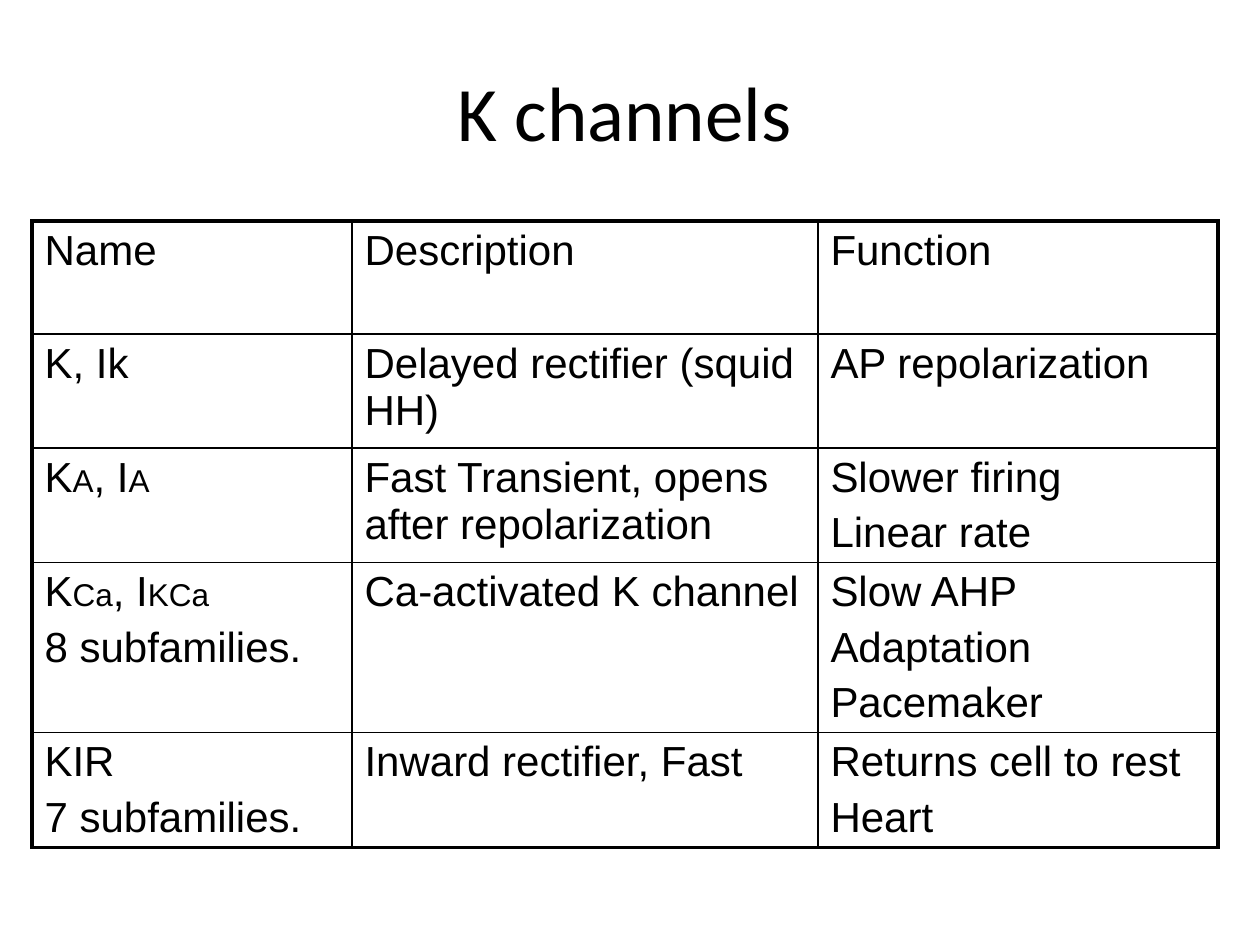
from lxml.etree import SubElement
from pptx import Presentation
from pptx.dml.color import RGBColor
from pptx.enum.text import MSO_ANCHOR, PP_ALIGN
from pptx.oxml.ns import qn
from pptx.util import Pt

# Content: a cell is a list of paragraphs, a paragraph a list of (text, size name)
TITLE = "K channels"
ROWS = [
    ["Name", "Description", "Function"],
    ["K, Ik", "Delayed rectifier (squid HH)", "AP repolarization"],
    [[[("K", "body"), ("A", "small"), (", I", "body"), ("A", "small")]],
     "Fast Transient, opens after repolarization",
     ["Slower firing", "Linear rate"]],
    [[[("K", "body"), ("Ca", "small"), (", I", "body"), ("KCa", "small")],
      "8 subfamilies."],
     "Ca-activated K channel",
     ["Slow AHP", "Adaptation", "Pacemaker"]],
    [["KIR", "7 subfamilies."],
     "Inward rectifier, Fast",
     ["Returns cell to rest", "Heart"]],
]

# Layout in px, 126 to the inch
PX = 914400 // 126
SLIDE_SIZE = (1260, 945)
TITLE_BOX = {"left": 144, "top": 32, "width": 961, "height": 158}
TABLE_LEFT, TABLE_TOP = 32, 221
COLUMN_WIDTHS = [320, 466, 400]
ROW_HEIGHTS = [113, 114, 114, 170, 114]

THEME = {
    "ink": "000000",
    "title_font": "Calibri", "body_font": "Arial",
    "title": 44, "body": 24, "small": 18,
    "paragraph_gap": 4.8, "outer_line": 2.25, "inner_line": 1,
}


def format_font(font, name, size):
    values = {"name": THEME[name], "size": Pt(THEME[size]), "bold": False}
    for key, value in values.items():
        setattr(font, key, value)
    font.color.rgb = RGBColor.from_string(THEME["ink"])


def write_cell(cell, content):
    paragraphs = [content] if isinstance(content, str) else content
    for index, runs in enumerate(paragraphs):
        frame = cell.text_frame
        paragraph = frame.add_paragraph() if index else frame.paragraphs[0]
        if index:
            paragraph.space_before = Pt(THEME["paragraph_gap"])
        for text, size in [(runs, "body")] if isinstance(runs, str) else runs:
            run = paragraph.add_run()
            run.text = text
            format_font(run.font, "body_font", size)


def draw_borders(cell, outer_sides):
    properties = cell._tc.get_or_add_tcPr()
    for position, (side, is_outer) in enumerate(outer_sides.items()):
        weight = THEME["outer_line" if is_outer else "inner_line"]
        line = properties.makeelement(qn(f"a:{side}"), {"w": str(Pt(weight))})
        properties.insert(position, line)
        fill = SubElement(line, qn("a:solidFill"))
        SubElement(fill, qn("a:srgbClr"), val=THEME["ink"])


presentation = Presentation()
presentation.slide_width, presentation.slide_height = (side * PX for side in SLIDE_SIZE)
slide = presentation.slides.add_slide(presentation.slide_layouts[5])

# Title
title = slide.shapes.title
for key, value in TITLE_BOX.items():
    setattr(title, key, value * PX)
title.text_frame.text = TITLE
title.text_frame.vertical_anchor = MSO_ANCHOR.MIDDLE
paragraph = title.text_frame.paragraphs[0]
paragraph.alignment = PP_ALIGN.CENTER
format_font(paragraph.runs[0].font, "title_font", "title")

# Table of channels
table = slide.shapes.add_table(
    len(ROWS), len(COLUMN_WIDTHS), TABLE_LEFT * PX, TABLE_TOP * PX,
    sum(COLUMN_WIDTHS) * PX, sum(ROW_HEIGHTS) * PX).table
table.first_row = table.horz_banding = False
for column, width in zip(table.columns, COLUMN_WIDTHS):
    column.width = width * PX
for row, height in zip(table.rows, ROW_HEIGHTS):
    row.height = height * PX

last_row, last_column = len(ROWS) - 1, len(COLUMN_WIDTHS) - 1
for r, contents in enumerate(ROWS):
    for c, content in enumerate(contents):
        cell = table.cell(r, c)
        write_cell(cell, content)
        cell.fill.background()
        draw_borders(cell, {"lnL": c == 0, "lnR": c == last_column,
                            "lnT": r == 0, "lnB": r == last_row})

presentation.save("out.pptx")
